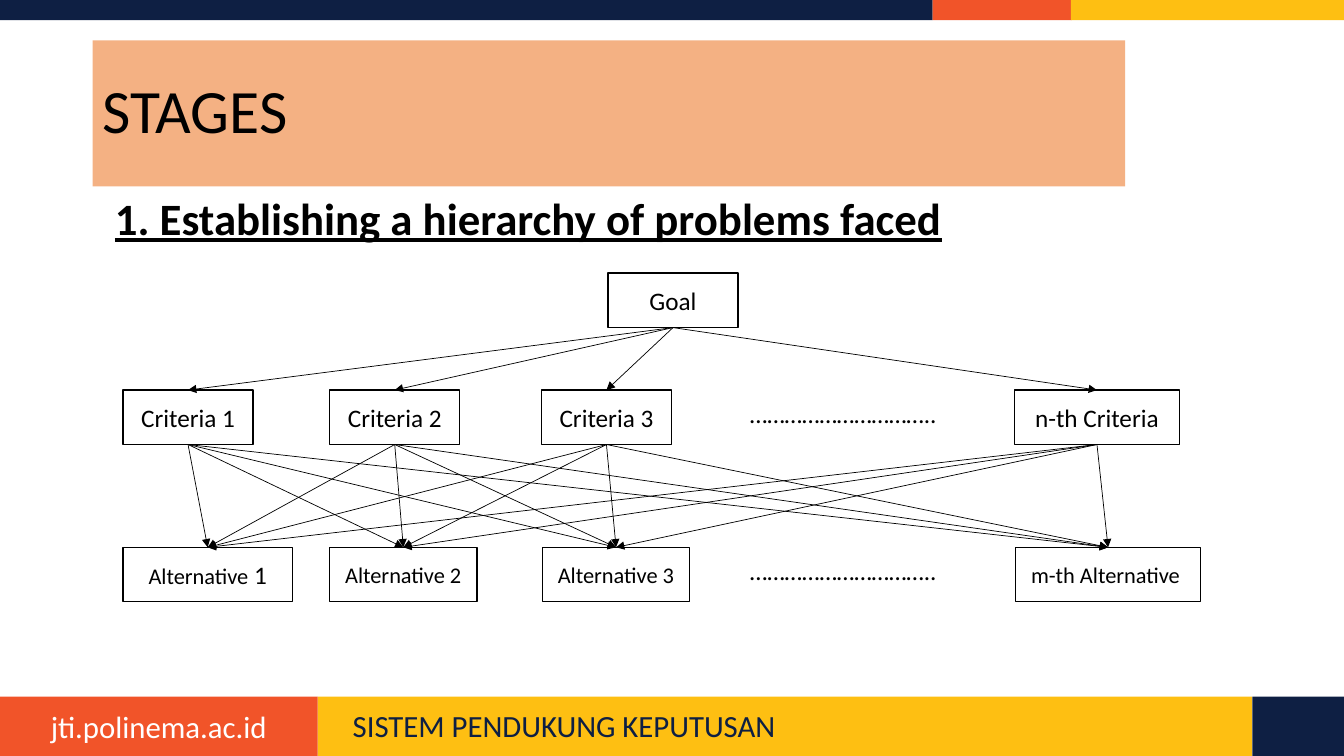
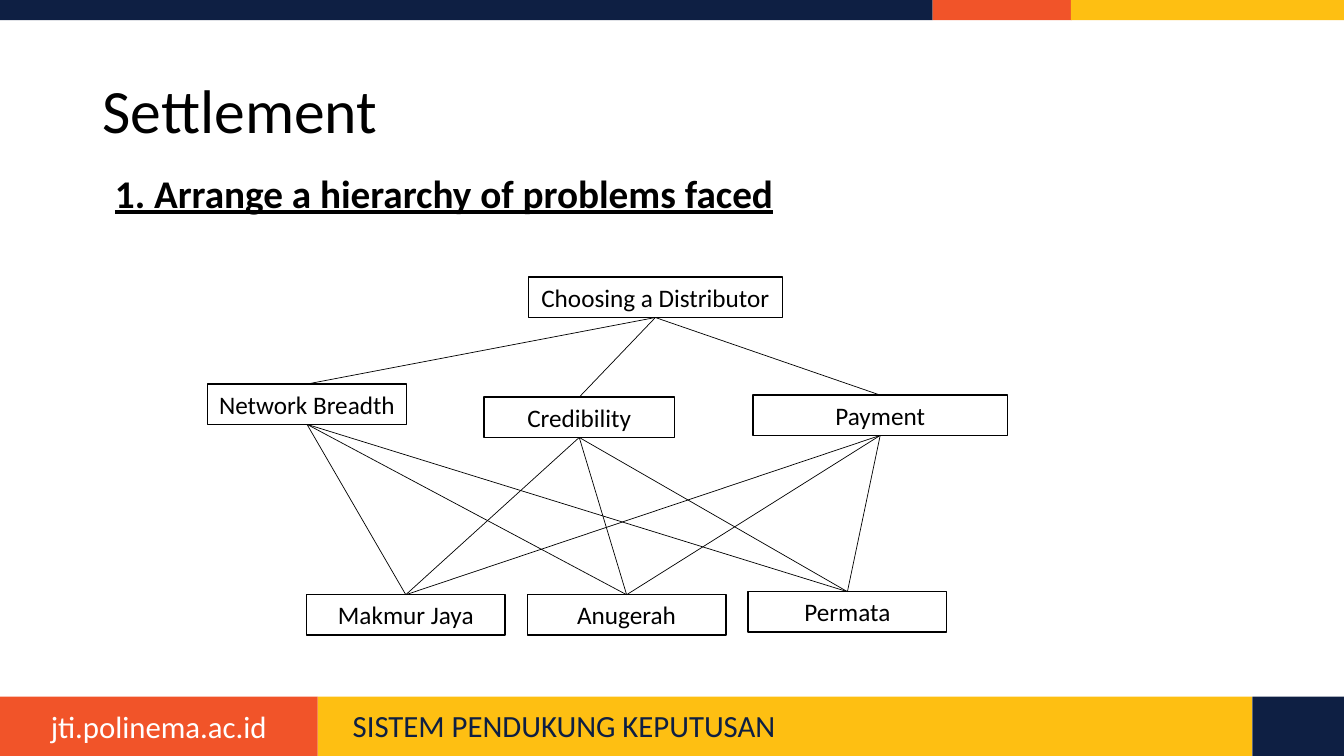
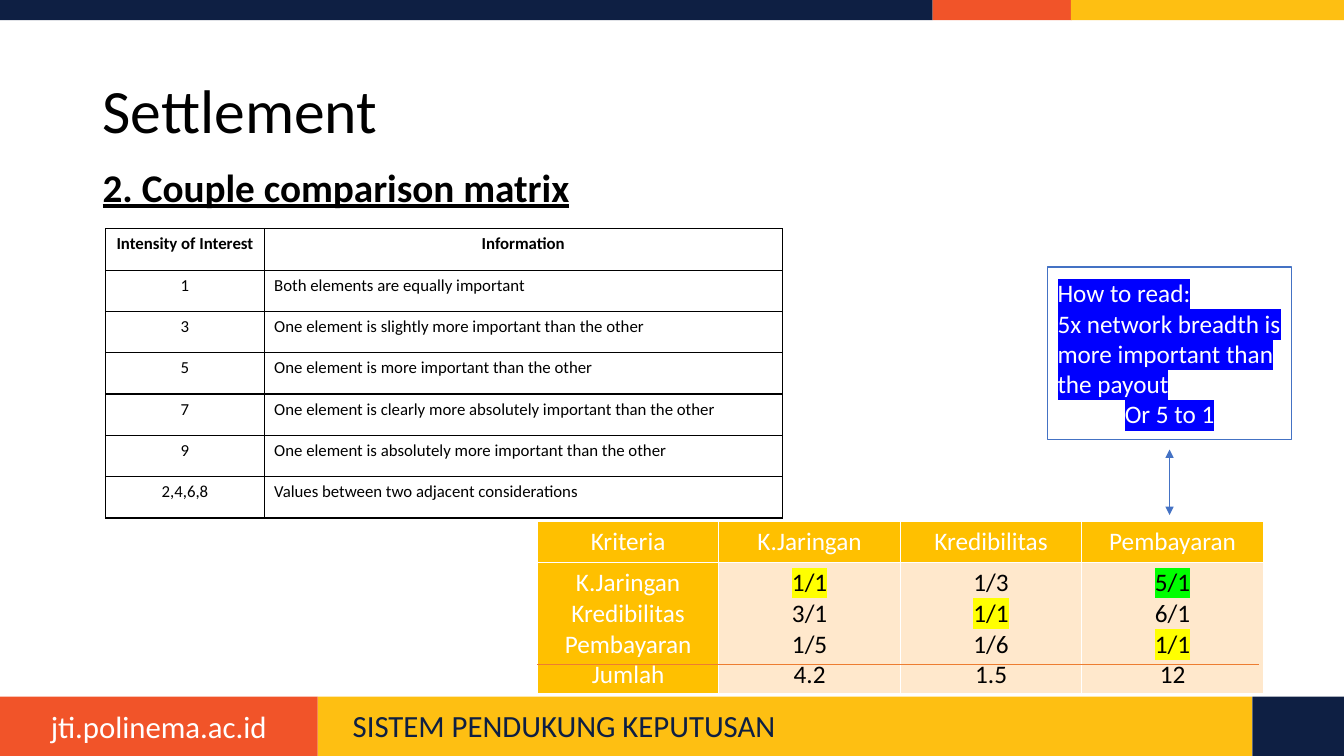
from lxml import etree
from pptx import Presentation
from pptx import util as u
from pptx.dml.color import RGBColor
from pptx.enum import shapes, text
from pptx.oxml.ns import qn

Inches, Pt = u.Inches, u.Pt
LEFT, CENTER = text.PP_ALIGN.LEFT, text.PP_ALIGN.CENTER
TOP, MIDDLE = text.MSO_ANCHOR.TOP, text.MSO_ANCHOR.MIDDLE

FONT = "Calibri"
BLACK = RGBColor(0x00, 0x00, 0x00)
WHITE = RGBColor(0xFF, 0xFF, 0xFF)
NAVY = RGBColor(0x0E, 0x1F, 0x43)
ORANGE = RGBColor(0xF1, 0x54, 0x29)
YELLOW = RGBColor(0xFE, 0xBF, 0x12)
PEACH = RGBColor(0xF4, 0xB1, 0x83)
AMBER = RGBColor(0xFF, 0xC0, 0x00)
CREAM = RGBColor(0xFF, 0xE8, 0xCC)
RUST = RGBColor(0xED, 0x7D, 0x31)
BLUE = RGBColor(0x44, 0x72, 0xC4)
MARK_BLUE = RGBColor(0x00, 0x00, 0xFF)
MARK_YELLOW = RGBColor(0xFF, 0xFF, 0x00)
MARK_GREEN = RGBColor(0x00, 0xFF, 0x00)


def box(s, at, words="", size=18, color=BLACK, fill=None, line=None,
        align=LEFT, anchor=TOP, spacing=None):
    at = [Inches(v) for v in at]
    if fill is None and line is None:
        sp = s.shapes.add_textbox(*at)
    else:
        sp = s.shapes.add_shape(shapes.MSO_SHAPE.RECTANGLE, *at)
        sp.shadow.inherit = False
        if fill is None:
            sp.fill.background()
        else:
            sp.fill.solid()
            sp.fill.fore_color.rgb = fill
        if line is None:
            sp.line.fill.background()
        else:
            sp.line.color.rgb = line
            sp.line.width = Pt(1)
    tf = sp.text_frame
    tf.word_wrap = True
    tf.vertical_anchor = anchor
    tf.text = words
    for p in tf.paragraphs:
        p.alignment = align
        p.line_spacing = spacing
        for r in p.runs:
            r.font.name = FONT
            r.font.size = Pt(size)
            r.font.color.rgb = color
    return sp


def connect(s, x1, y1, x2, y2, color=BLACK, ends=()):
    c = s.shapes.add_connector(shapes.MSO_CONNECTOR.STRAIGHT,
                               Inches(x1), Inches(y1), Inches(x2), Inches(y2))
    c.line.color.rgb = color
    c.line.width = Pt(0.5)
    spPr = c._element.spPr
    for end in ends:
        etree.SubElement(spPr.find(qn("a:ln")), qn("a:" + end), type="triangle")
    etree.SubElement(spPr, qn("a:effectLst"))
    return c


prs = Presentation()
prs.slide_width = Inches(13.33)
prs.slide_height = Inches(7.5)

bands = [
    (0, 0, 9.25, 0.2, NAVY),
    (9.25, 0, 1.38, 0.2, ORANGE),
    (10.62, 0, 2.71, 0.2, YELLOW),
    (3.15, 6.91, 9.27, 0.59, YELLOW),
    (0, 6.91, 3.15, 0.59, ORANGE),
    (12.42, 6.91, 0.91, 0.59, NAVY),
]
pages = [
    ("STAGES", PEACH, "1. Establishing a hierarchy of problems faced", 32, 1.9, 0.12, 0.9),
    ("Settlement", None, "1. Arrange a hierarchy of problems faced", 28, 1.68, 0.12, 0.9),
    ("Settlement", None, "2. Couple comparison matrix", 28, 1.57, 0, None),
]
for title, title_fill, heading, size, top, indent, spacing in pages:
    s = prs.slides.add_slide(prs.slide_layouts[6])
    for *at, color in bands:
        box(s, at, fill=color)
    box(s, (0, 6.97, 3.15, 0.47), "jti.polinema.ac.id", 22, WHITE, align=CENTER)
    box(s, (3.4, 7, 8.74, 0.4), "SISTEM PENDUKUNG KEPUTUSAN", 22, NAVY, spacing=0.9)
    box(s, (0.92, 0.4, 10.24, 1.45), title, 44, fill=title_fill, anchor=MIDDLE, spacing=0.9)
    sp = box(s, (0.92, top, 10.22, 0.65), heading, size, spacing=spacing)
    sp.text_frame.margin_left = Inches(0.1 + indent)
    font = sp.text_frame.paragraphs[0].runs[0].font
    font.bold = True
    font.underline = True

stages, settlement, matrix = prs.slides

trees = [
    (stages, 0.54, WHITE, ["tailEnd"], [
        (18, [("Goal", 6.03, 2.71, 1.29)]),
        (18, [("Criteria 1", 1.22, 3.87, 1.29), ("Criteria 2", 3.27, 3.87, 1.29),
              ("Criteria 3", 5.37, 3.87, 1.29), ("n-th Criteria", 10.06, 3.87, 1.64)]),
        (16, [("Alternative 1", 1.22, 5.43, 1.68), ("Alternative 2", 3.27, 5.43, 1.46),
              ("Alternative 3", 5.38, 5.43, 1.46), ("m-th Alternative ", 10.07, 5.43, 1.84)]),
    ]),
    (settlement, 0.4, None, [], [
        (18, [("Choosing a Distributor", 5.24, 2.75, 2.52)]),
        (18, [("Network Breadth", 2.06, 3.81, 1.97), ("Credibility", 4.8, 3.94, 1.89),
              ("Payment", 7.47, 3.92, 2.52)]),
        (18, [("Makmur Jaya", 3.04, 5.9, 1.97), ("Anugerah", 5.23, 5.9, 1.97),
              ("Permata", 7.42, 5.87, 1.97)]),
    ]),
]
for s, height, fill, ends, levels in trees:
    parents = []
    for size, nodes in levels:
        children = [box(s, (x, y, w, height), words, size, fill=fill, line=BLACK,
                        align=CENTER, anchor=MIDDLE) for words, x, y, w in nodes]
        for parent in parents:
            for child in children:
                c = connect(s, 0, 0, 1, 1, ends=ends)
                c.begin_connect(parent, 2)
                c.end_connect(child, 0)
        parents = children
    if s is trees[0][0]:
        p = parents[0].text_frame.paragraphs[0]
        p.runs[0].text = "Alternative"
        r = p.add_run()
        r.text = " 1"
        r.font.name = FONT
        r.font.size = Pt(18)
        r.font.color.rgb = BLACK

for y in (3.9, 5.46):
    box(stages, (7.34, y, 2.34, 0.4), "…………………………..")

s = matrix
comparison = [
    ["Kriteria", "K.Jaringan", "Kredibilitas", "Pembayaran"],
    ["K.Jaringan\nKredibilitas\nPembayaran\nJumlah", "1/1\n3/1\n1/5\n4.2",
     "1/3\n1/1\n1/6\n1.5", "5/1\n6/1\n1/1\n12"],
]
scale = [
    ["Intensity of Interest", "Information"],
    ["1", "Both elements are equally important"],
    ["3", "One element is slightly more important than the other"],
    ["5", "One element is more important than the other"],
    ["7", "One element is clearly more absolutely important than the other"],
    ["9", "One element is absolutely more important than the other"],
    ["2,4,6,8", "Values between two adjacent considerations"],
]
tables = [
    (comparison, 5.33, 5.17, [1.8] * 4, [0.41, 1.3], 18, WHITE),
    (scale, 1.05, 2.27, [1.57, 5.14], [0.41] * 7, 12, BLACK),
]
marks = []
for rows, x, y, widths, heights, size, border in tables:
    tbl = s.shapes.add_table(len(rows), len(widths), Inches(x), Inches(y),
                             Inches(sum(widths)), Inches(sum(heights))).table
    tbl.first_row = False
    tbl.horz_banding = False
    for col, w in zip(tbl.columns, widths):
        col.width = Inches(w)
    for row, h in zip(tbl.rows, heights):
        row.height = Inches(h)
    for i, row in enumerate(rows):
        for j, words in enumerate(row):
            cell = tbl.cell(i, j)
            tcPr = cell._tc.get_or_add_tcPr()
            for side in "LRTB":
                ln = etree.SubElement(tcPr, qn("a:ln" + side), w=str(Pt(1)))
                paint = etree.SubElement(ln, qn("a:solidFill"))
                etree.SubElement(paint, qn("a:srgbClr"), val=str(border))
            header = i == 0 or j == 0
            if rows is comparison:
                cell.fill.solid()
                cell.fill.fore_color.rgb = AMBER if header else CREAM
            else:
                cell.fill.background()
            cell.text = words
            for k, p in enumerate(cell.text_frame.paragraphs):
                p.alignment = CENTER if header or rows is comparison else LEFT
                r = p.runs[0]
                r.font.name = FONT
                r.font.size = Pt(size)
                r.font.bold = rows is scale and i == 0
                r.font.color.rgb = WHITE if rows is comparison and header else BLACK
                if r.text == "1/1":
                    marks.append((r, MARK_YELLOW))
                elif r.text == "5/1":
                    marks.append((r, MARK_GREEN))

connect(s, 5.33, 6.59, 12.49, 6.59, RUST)
connect(s, 11.6, 4.46, 11.6, 5.11, BLUE, ["headEnd", "tailEnd"])

sp = box(s, (10.39, 2.65, 2.42, 1.71),
         "How to read:\n5x network breadth is more important than the payout\nOr 5 to 1",
         color=WHITE, fill=WHITE, line=BLUE, anchor=MIDDLE)
sp.text_frame.paragraphs[-1].alignment = CENTER
marks += [(p.runs[0], MARK_BLUE) for p in sp.text_frame.paragraphs]

for r, color in marks:
    highlight = etree.Element(qn("a:highlight"))
    etree.SubElement(highlight, qn("a:srgbClr"), val=str(color))
    r._r.rPr.find(qn("a:solidFill")).addnext(highlight)

prs.save("out.pptx")
